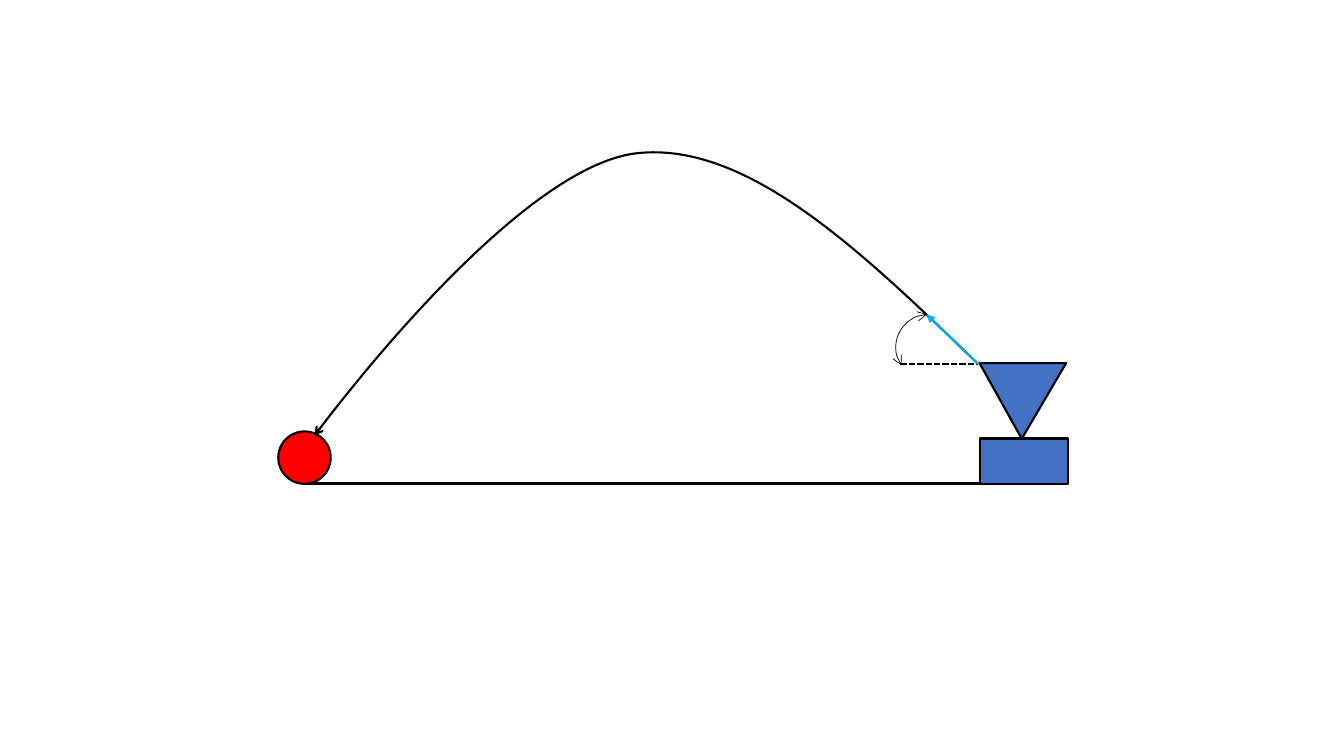
from dataclasses import dataclass

from lxml.etree import SubElement
from pptx import Presentation
from pptx.dml.color import RGBColor as RGB
from pptx.enum.dml import MSO_LINE as Dash
from pptx.enum.shapes import MSO_CONNECTOR as Link, MSO_SHAPE as Form
from pptx.oxml.ns import qn
from pptx.util import Inches, Pt


@dataclass(frozen=True)
class Theme:
    ink: str = "000000"
    body: str = "4472C4"
    ball: str = "FF0000"
    aim: str = "00B0F0"
    thin: float = 0.5
    line: float = 1.5
    thick: float = 2.25


THEME = Theme()


def stroke(item, color=THEME.ink, width=THEME.line, dash=None, **ends):
    """Style an outline; ends maps headEnd or tailEnd to an arrowhead type."""
    line = item.line
    line.color.rgb = RGB.from_string(color)
    line.width = Pt(width)
    if dash:
        line.dash_style = dash
    props = item.element.spPr.find(qn("a:ln"))
    for end, kind in ends.items():
        SubElement(props, qn("a:" + end), type=kind)


def paint(shape, fill=None, **line):
    shape.shadow.inherit = False
    if fill:
        shape.fill.solid()
        shape.fill.fore_color.rgb = RGB.from_string(fill)
    else:
        shape.fill.background()
    stroke(shape, **line)


def add_form(group, form, box, fill=None, turn=0, **line):
    shape = group.shapes.add_shape(form, *map(Inches, box))
    shape.rotation = turn
    paint(shape, fill, **line)
    return shape


def add_line(group, start, end, **line):
    link = group.shapes.add_connector(Link.STRAIGHT, *map(Inches, start + end))
    stroke(link, **line)
    SubElement(link.element.spPr, qn("a:effectLst"))


def add_curve(group, points, **line):
    """Draw a start point followed by triples of Bezier points."""
    first, *rest = [tuple(map(Inches, point)) for point in points]
    pen = group.shapes.build_freeform(*first)
    pen.add_line_segments(rest, close=False)
    curve = pen.convert_to_shape()
    steps = list(curve.element.iter(qn("a:lnTo")))
    for i in range(0, len(steps), 3):
        bend = SubElement(steps[i].getparent(), qn("a:cubicBezTo"))
        for step in steps[i:i + 3]:
            bend.append(step[0])
            step.getparent().remove(step)
    paint(curve, **line)


def add_ground(group, box):
    x, y, w = box
    add_line(group, (x + w, y), (x, y), width=THEME.thick)


def add_tower(group, box):
    """Place the base and the funnel that stands point down on it."""
    x, y, w, h = box
    base, cone = 0.45, 0.74
    add_form(group, Form.RECTANGLE, (x, y + h - base, w, base), THEME.body)
    add_form(group, Form.ISOSCELES_TRIANGLE, (x - 0.12, y - 0.18, w, cone),
             THEME.body, turn=300.4)


def add_flight(group, box):
    x, y, w, h = box
    spots = [(6.58, 2.1), (5.44, 1), (4.3, -0.11), (3.2, 0.01),
             (2.11, 0.13), (0.35, 2.34), (0, h)]
    add_curve(group, [(x + dx, y + dy) for dx, dy in spots], tailEnd="arrow")


def add_angle(group, box):
    """Place the level line, the angle arc and the launch arrow."""
    x, y, w, h = box
    add_line(group, (x + 0.04, y + h), (x + w, y + h), dash=Dash.SQUARE_DOT)
    arc = add_form(group, Form.ARC, (x, y, 0.63, 0.65), turn=234.6,
                   width=THEME.thin, headEnd="arrow", tailEnd="arrow")
    arc.adjustments[0], arc.adjustments[1] = 162, 20.02
    add_line(group, (x + w, y + h), (x + 0.3, y + 0.01),
             color=THEME.aim, tailEnd="triangle")


def build_slide(deck):
    slide = deck.slides.add_slide(deck.slide_layouts[6])
    group = slide.shapes.add_group_shape()
    add_ground(group, (3.02, 4.8, 7.56))
    add_tower(group, (9.72, 3.6, 0.87, 1.2))
    add_form(group, Form.OVAL, (2.76, 4.28, 0.52, 0.52), THEME.ball)
    add_flight(group, (3.12, 1.51, 6.58, 2.81))
    add_angle(group, (8.89, 3.11, 0.81, 0.5))


def main():
    deck = Presentation()
    deck.slide_width, deck.slide_height = Inches(13.33), Inches(7.5)
    build_slide(deck)
    deck.save("out.pptx")


if __name__ == "__main__":
    main()
